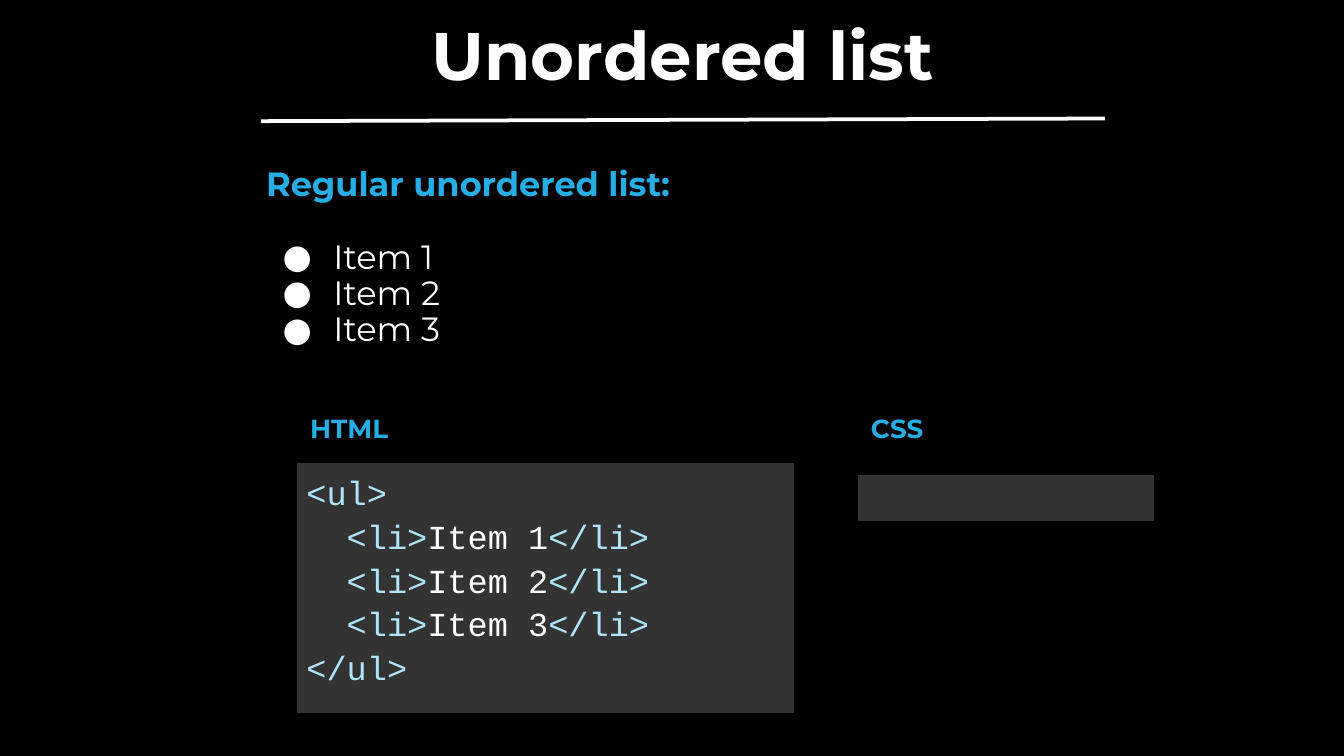
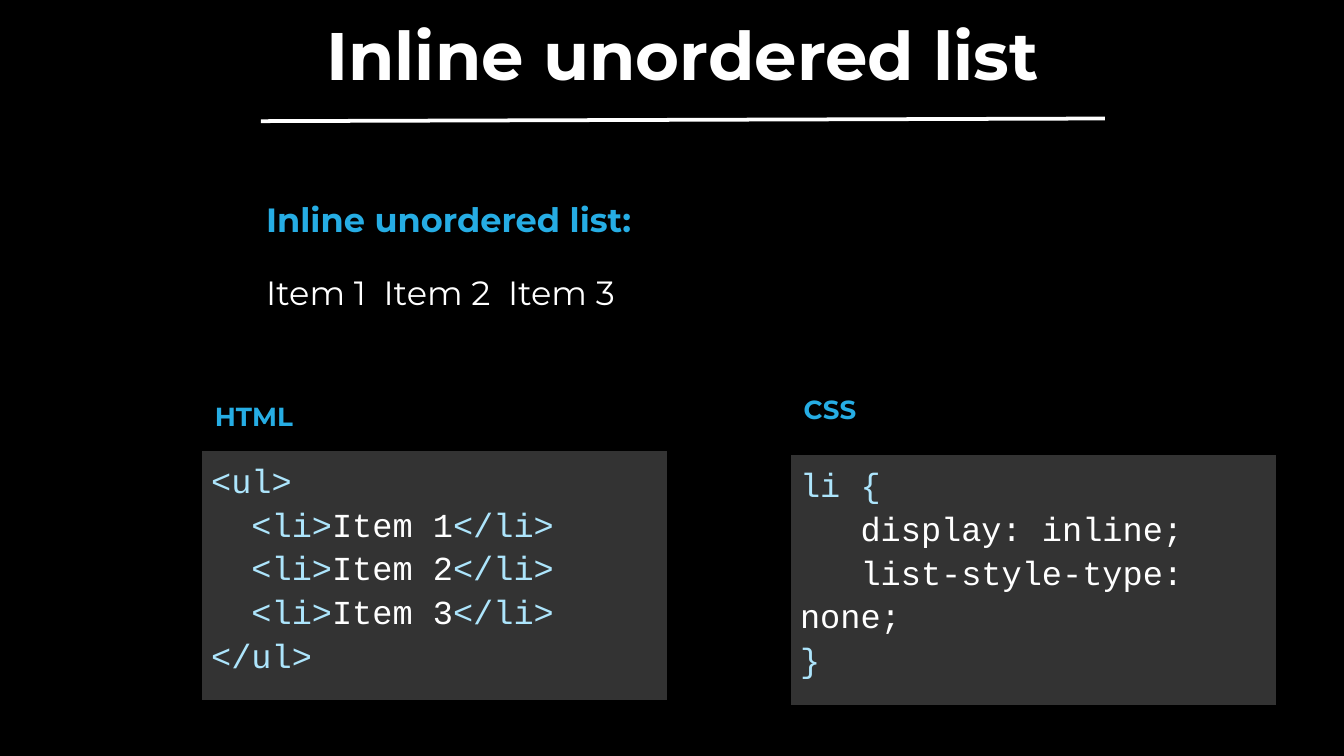
import lxml.etree
import pptx
import pptx.dml.color
import pptx.enum.shapes
import pptx.enum.text
import pptx.oxml
import pptx.oxml.ns
import pptx.util

Cm = pptx.util.Cm
Pt = pptx.util.Pt
RGBColor = pptx.dml.color.RGBColor
qn = pptx.oxml.ns.qn

BLACK = RGBColor(0x00, 0x00, 0x00)
WHITE = RGBColor(0xFF, 0xFF, 0xFF)
BLUE = RGBColor(0x26, 0xAD, 0xE4)
PALE_BLUE = RGBColor(0xAD, 0xE5, 0xFC)
DARK_GREY = RGBColor(0x33, 0x33, 0x33)

PROSE_FONT = "Montserrat"
CODE_FONT = "Courier New"
CODE_CHARACTER = Pt(10.8)
LINE_HEIGHT = 1.22
CODE_HEIGHT = 4.47
ITEMS = ["Item 1", "Item 2", "Item 3"]

HTML_CODE = [
    (0, [("<ul>", PALE_BLUE)]),
    *[(2, [("<li>", PALE_BLUE), (item, WHITE), ("</li>", PALE_BLUE)]) for item in ITEMS],
    (0, [("</ul>", PALE_BLUE)]),
]
CSS_CODE = [
    (0, [("li {", PALE_BLUE)]),
    (3, [("display: inline;", WHITE)]),
    (3, [("list-style-type: none;", WHITE)]),
    (0, [("}", PALE_BLUE)]),
]


def add_xml(parent, tag, **attributes):
    element = lxml.etree.SubElement(parent, qn(tag))
    for key, value in attributes.items():
        element.set(key, str(value))
    return element


def style(paragraph, size, color, bold=False, spacing=0.9):
    paragraph.line_spacing = spacing
    paragraph.font.name = PROSE_FONT
    paragraph.font.size = Pt(size)
    paragraph.font.bold = bold
    paragraph.font.color.rgb = color


def add_text(slide, left, top, width, inset):
    box = slide.shapes.add_textbox(Cm(left), Cm(top), Cm(width), Cm(LINE_HEIGHT))
    frame = box.text_frame
    frame.word_wrap = True
    frame.vertical_anchor = pptx.enum.text.MSO_ANCHOR.MIDDLE
    frame.margin_left = frame.margin_right = Cm(inset)
    frame.margin_top = frame.margin_bottom = Cm(inset)
    return frame


def add_header(slide, title):
    heading = add_text(slide, 0.2, 0.51, 25.4, 0.1).paragraphs[0]
    heading.text = title
    heading.alignment = pptx.enum.text.PP_ALIGN.CENTER
    style(heading, 36, WHITE, bold=True)
    rule = slide.shapes.add_connector(
        pptx.enum.shapes.MSO_CONNECTOR.STRAIGHT, Cm(4.93), Cm(2.29), Cm(20.88), Cm(2.24))
    rule.line.color.rgb = WHITE
    rule.line.width = Pt(2)
    add_xml(rule._element.spPr, "a:effectLst")


def add_bullet(paragraph):
    properties = paragraph._p.get_or_add_pPr()
    properties.set("marL", str(Cm(1.27)))
    properties.set("indent", str(Cm(-0.96)))
    add_xml(add_xml(properties, "a:buClr"), "a:srgbClr", val=WHITE)
    add_xml(properties, "a:buFont", typeface=PROSE_FONT)
    add_xml(properties, "a:buChar", char="●")


def add_example(slide, left, top, width, heading, lines, bulleted):
    frame = add_text(slide, left, top, width, 0.1)
    subtitle = frame.paragraphs[0]
    subtitle.text = heading
    style(subtitle, 18, BLUE, bold=True)
    subtitle.space_after = Pt(19.75)
    for line in lines:
        entry = frame.add_paragraph()
        entry.text = line
        style(entry, 18, WHITE)
        if bulleted:
            add_bullet(entry)


def add_borders(cell):
    properties = cell._tc.get_or_add_tcPr()
    for side in ("a:lnL", "a:lnR", "a:lnT", "a:lnB"):
        border = add_xml(properties, side, w=Pt(0.75))
        add_xml(add_xml(border, "a:solidFill"), "a:srgbClr", val=BLACK)


def add_code(slide, left, top, width, height, language, label_top, code):
    frame = slide.shapes.add_table(1, 1, Cm(left), Cm(top), Cm(width), Cm(height))
    table = frame.table
    table.first_row = False
    table.horz_banding = False
    cell = table.cell(0, 0)
    add_borders(cell)
    cell.fill.solid()
    cell.fill.fore_color.rgb = DARK_GREY
    cell.margin_left = cell.margin_right = Cm(0.18)
    cell.margin_top = cell.margin_bottom = Cm(0.18)
    text = cell.text_frame
    text.paragraphs[0].font.size = Pt(10)
    for number, (depth, pieces) in enumerate(code):
        line = text.add_paragraph() if number else text.paragraphs[0]
        line.line_spacing = 1.15
        line.font.name = CODE_FONT
        line.font.size = Pt(18)
        line._p.get_or_add_pPr().set("indent", str(depth * CODE_CHARACTER))
        for words, color in pieces:
            piece = line.add_run()
            piece.text = words
            piece.font.name = CODE_FONT
            piece.font.size = Pt(18)
            piece.font.color.rgb = color
    label = add_text(slide, left, label_top, 2.79, 0.25).paragraphs[0]
    label.text = language
    style(label, 14, BLUE, bold=True)


def add_list_slide(deck, title, heading, lines, bulleted, html_box, css_box, css_code):
    slide = deck.slides.add_slide(deck.slide_layouts[6])
    slide.background.fill.solid()
    slide.background.fill.fore_color.rgb = BLACK
    add_header(slide, title)
    add_example(slide, 4.93, 4.27, 15.95, heading, lines, bulleted)
    *html_place, html_label_top = html_box
    *css_place, css_label_top = css_box
    add_code(slide, *html_place, "HTML", html_label_top, HTML_CODE)
    add_code(slide, *css_place, "CSS", css_label_top, css_code)


deck = pptx.Presentation()
deck.slide_width = Cm(25.4)
deck.slide_height = Cm(14.29)
add_list_slide(
    deck, "Unordered list", "Regular unordered list:", ITEMS, True,
    (5.61, 8.74, 9.4, CODE_HEIGHT, 7.52), (16.21, 8.97, 5.61, 0.89, 7.52), [])
add_list_slide(
    deck, "Inline unordered list", "Inline unordered list:", ["  ".join(ITEMS)], False,
    (3.81, 8.51, 8.81, CODE_HEIGHT, 7.29), (14.94, 8.59, 9.19, CODE_HEIGHT, 7.16), CSS_CODE)
deck.save("out.pptx")
